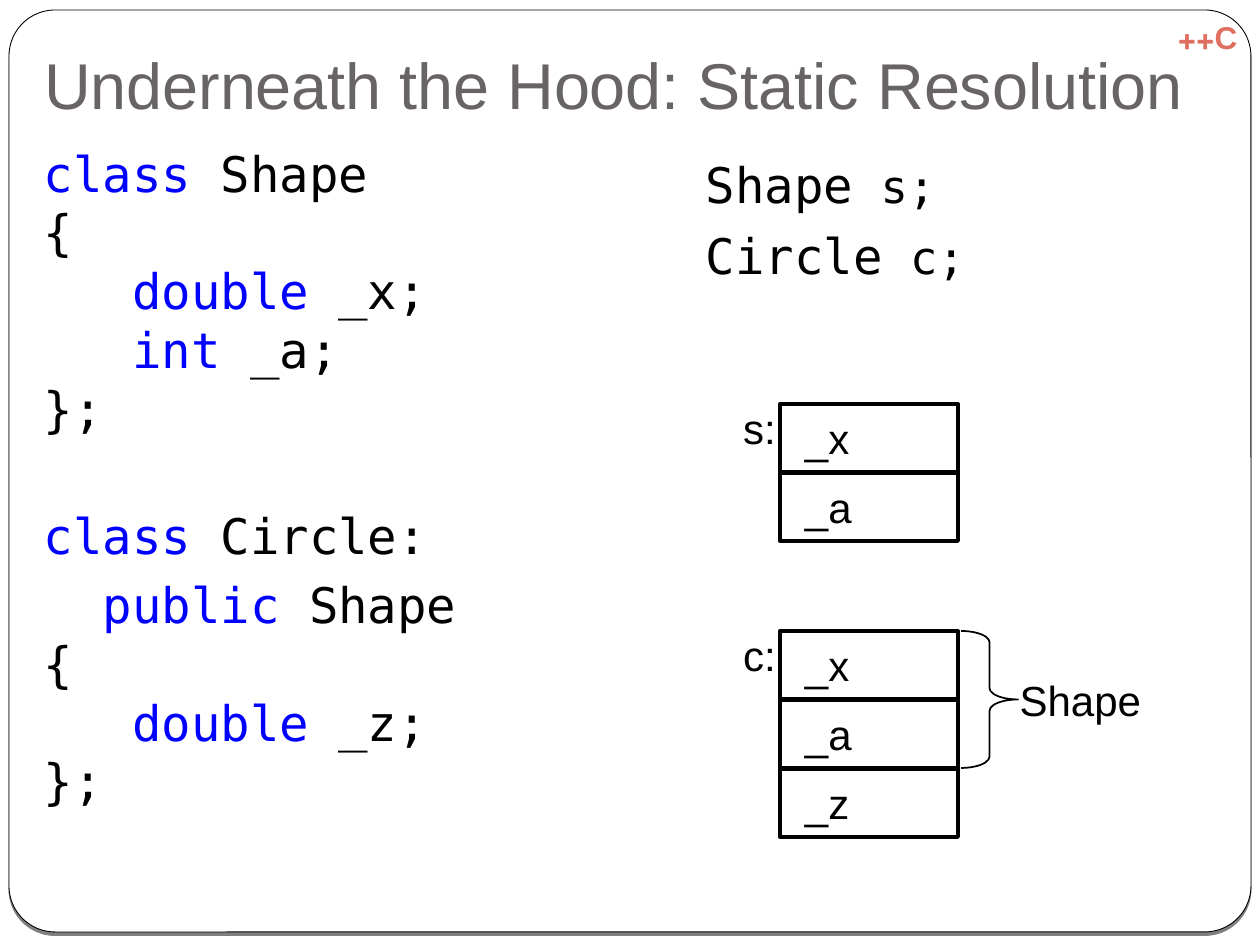
from lxml import etree
from pptx import Presentation
from pptx import util as u
from pptx.dml.color import RGBColor
from pptx.enum import shapes, text
from pptx.oxml import ns

SCALE = 914400 / 126
MONO, SANS = "DejaVu Sans Mono", "Arial"
BLACK, WHITE, BLUE = "000000", "FFFFFF", "0000FF"
GREY, CORAL = "696464", "DE6F61"
INDENT = "\u00a0" * 3
ALIGN, ANCHOR = text.PP_ALIGN, text.MSO_ANCHOR


def px(n):
    """Turn pixels into EMU."""
    return u.Emu(round(n * SCALE))


def hue(code):
    """Turn a hex string into a colour."""
    return RGBColor.from_string(code)


def write(shape, paras, size=24, font=SANS, color=BLACK, bold=False,
          align=ALIGN.LEFT, anchor=ANCHOR.TOP, pad=(25, 19, 25, 19),
          wrap=True, before=(0,), lead=None, rtl=False):
    """Fill a shape with paragraphs of (text, overrides) runs; a string is one run."""
    frame = shape.text_frame
    frame.auto_size = text.MSO_AUTO_SIZE.NONE
    frame.word_wrap, frame.vertical_anchor = wrap, anchor
    (frame.margin_left, frame.margin_top,
     frame.margin_right, frame.margin_bottom) = map(px, pad)
    if isinstance(paras, str):
        paras = [[(paras, {})]]
    for i, runs in enumerate(paras):
        para = frame.paragraphs[0] if i == 0 else frame.add_paragraph()
        para.alignment = align
        para.space_before = u.Pt(before[min(i, len(before) - 1)])
        if lead:
            para.line_spacing = lead
        if rtl:
            para._p.get_or_add_pPr().set("rtl", "1")
        for words, look in runs:
            for j, line in enumerate(words.split("\n")):
                if j:
                    para.add_line_break()
                if not line:
                    continue
                run = para.add_run()
                run.text = line
                run.font.name, run.font.bold = font, bold
                run.font.size = u.Pt(look.get("size", size))
                run.font.color.rgb = hue(look.get("color", color))


def label(slide, box, words, **form):
    """Add a text box."""
    write(slide.shapes.add_textbox(*map(px, box)), words, **form)


def outline(parent, kind, box, width, fill=None):
    """Add a preset shape with a black line."""
    shape = parent.shapes.add_shape(kind, *map(px, box))
    shape.shadow.inherit = False
    if fill:
        shape.fill.solid()
        shape.fill.fore_color.rgb = hue(fill)
    else:
        shape.fill.background()
    shape.line.color.rgb = hue(BLACK)
    shape.line.width = u.Pt(width)
    return shape


def shade(shape):
    """Give a shape a hard shadow just below it."""
    glow = shape._element.spPr.find(ns.qn("a:effectLst"))
    cast = etree.SubElement(glow, ns.qn("a:outerShdw"), blurRad="0",
                            dist="25400", dir="5400000", rotWithShape="0")
    tint = etree.SubElement(cast, ns.qn("a:srgbClr"), val=BLACK)
    etree.SubElement(tint, ns.qn("a:alpha"), val="50000")


def card(slide):
    """Draw the rounded panel behind the content."""
    panel = outline(slide, shapes.MSO_SHAPE.ROUNDED_RECTANGLE,
                    (9, 10, 1242, 922), 0.5, WHITE)
    panel.adjustments[0] = 0.05
    shade(panel)


def head(slide, words):
    """Place the title above the panel."""
    title = slide.shapes.title
    title._element.getparent().append(title._element)
    title.left, title.top, title.width, title.height = map(px, (31, 38, 1198, 98))
    write(title, words, size=37, color=GREY, anchor=ANCHOR.BOTTOM,
          pad=(13, 6, 13, 13), lead=0.9)


def stack(slide, name, top, fields):
    """Draw an object's memory as a named stack of cells."""
    group = slide.shapes.add_group_shape()
    for i, field in enumerate(fields):
        cell = outline(group, shapes.MSO_SHAPE.RECTANGLE,
                       (780, top + i * 69, 178, 68), 2.25)
        write(cell, field, anchor=ANCHOR.MIDDLE)
    label(slide, (718, top - 20, 83, 88), name, wrap=False)


def main():
    """Build the slide."""
    deck = Presentation()
    deck.slide_width, deck.slide_height = px(1260), px(945)
    slide = deck.slides.add_slide(deck.slide_layouts[5])
    slide.background.fill.solid()
    slide.background.fill.fore_color.rgb = hue(WHITE)

    card(slide)
    label(slide, (1155, 12, 105, 50), "C++", size=18, color=CORAL, bold=True,
          align=ALIGN.CENTER, pad=(13, 6, 13, 6), rtl=True)
    head(slide, "Underneath the Hood: Static Resolution")

    key, small = {"color": BLUE}, {"size": 26}
    code = {"size": 28, "font": MONO, "pad": (13, 6, 13, 6)}
    label(slide, (31, 137, 640, 777), [
        [("class", key), (" Shape\n{\n" + INDENT, {}),
         ("double", key), (" _x;\n" + INDENT, {}),
         ("int", key), (" _a;\n};", {})],
        [("class", key), (" Circle:", {})],
        [("\u00a0\u00a0", {}), ("public", key), (" Shape\n{\n" + INDENT, {}),
         ("double", key), (" _z;\n};", {})],
    ], before=(5.8, 39, 5.8), **code)
    label(slide, (693, 137, 536, 777), [
        [("Shape", {}), (" s;\n", small), ("Circle", {}), (" c;", small)],
    ], before=(5.8,), lead=1.2, **code)

    stack(slide, "s:", 404, ["_x", "_a"])
    stack(slide, "c:", 631, ["_x", "_a", "_z"])
    brace = outline(slide, shapes.MSO_SHAPE.RIGHT_BRACE, (961, 631, 57, 137), 1)
    brace.adjustments[0] = 0.2
    label(slide, (982, 656, 184, 88), "Shape", align=ALIGN.RIGHT)
    deck.save("out.pptx")


main()
